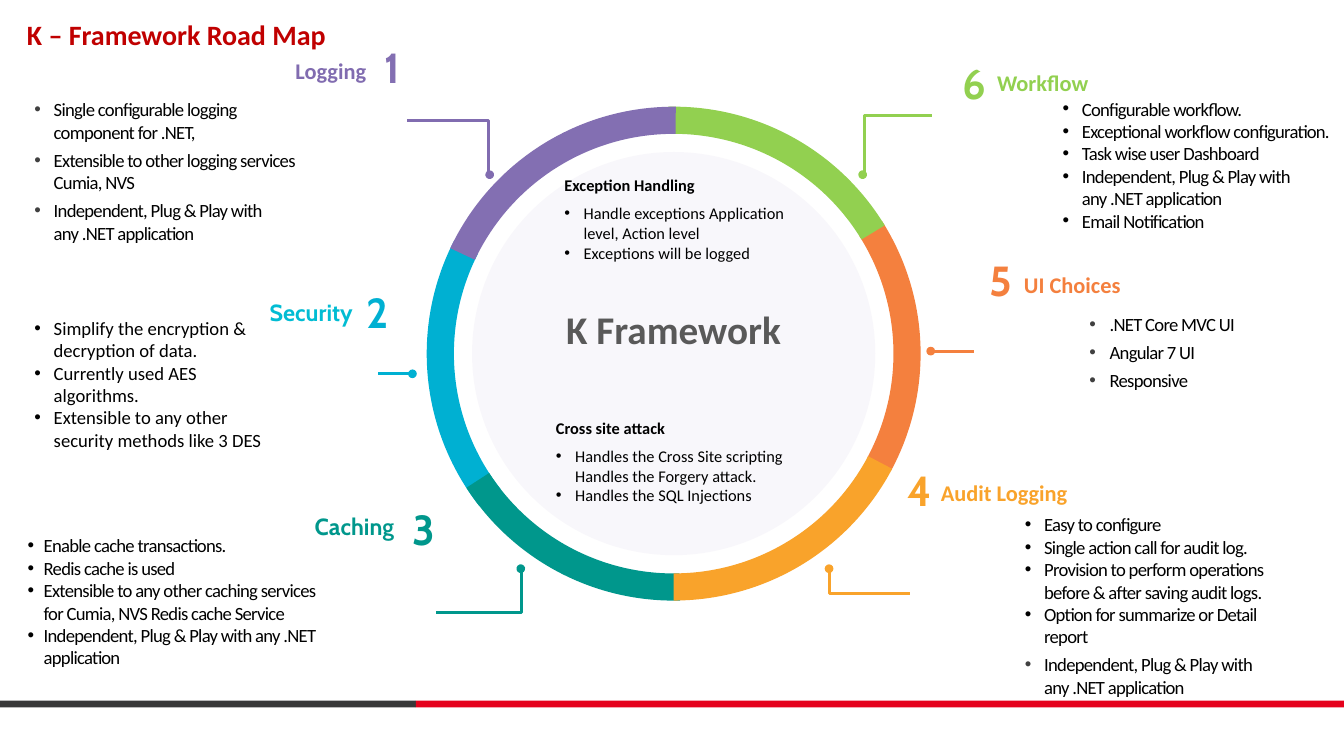
from lxml import etree
from pptx import Presentation
from pptx.dml.color import RGBColor
from pptx.enum import shapes, text
from pptx.oxml.ns import qn
from pptx.util import Inches, Pt

RED, DARK, SCARLET = RGBColor(0xC0, 0, 0), RGBColor(0x38, 0x38, 0x39), RGBColor(0xE5, 0x01, 0x1C)
PURPLE, LILAC = RGBColor(0x83, 0x6F, 0xB2), RGBColor(0x81, 0x6C, 0xB0)
CYAN, AQUA = RGBColor(0, 0xB0, 0xD2), RGBColor(0x01, 0xBC, 0xD3)
TEAL, AMBER = RGBColor(0, 0x97, 0x8C), RGBColor(0xF9, 0xA3, 0x2B)
ORANGE, GREEN = RGBColor(0xF4, 0x80, 0x3E), RGBColor(0x92, 0xD0, 0x50)
BLACK, GREY, MID = RGBColor(0, 0, 0), RGBColor(0x40, 0x40, 0x40), RGBColor(0x59, 0x59, 0x59)
LEFT, CENTER, RIGHT = text.PP_ALIGN.LEFT, text.PP_ALIGN.CENTER, text.PP_ALIGN.RIGHT

INDEPENDENT = "Independent, Plug & Play with any .NET application"
# Rotation, start angle and colour of each arc, back to front
ARCS = [(210, 291.88, CYAN), (150, 298.51, TEAL), (31.1, 296.37, ORANGE),
        (331.6, 297.1, GREEN), (92.9, 294.91, AMBER), (273.4, 291.88, PURPLE)]
ARC_END = 357.11
# Number, its place and colour; heading, its box, alignment, font, size and colour
HEADINGS = [
    ("1", (4.47, 0.45), PURPLE, "Logging", (1.96, 0.72, 2.4, 0.29), RIGHT, "Calibri", 19.2, LILAC),
    ("2", (4.27, 3.36), CYAN, "Security", (1.86, 3.59, 2.34, 0.3), RIGHT, "Cabin", 20, AQUA),
    ("3", (4.81, 5.95), TEAL, "Caching", (3.53, 6.14, 1.38, 0.3), CENTER, "Cabin", 20, TEAL),
    ("4", (10.7, 5.48), AMBER, "Audit Logging", (11.2, 5.74, 1.78, 0.29), LEFT, "Calibri", 19.2, AMBER),
    ("5", (11.68, 2.98), ORANGE, "UI Choices", (12.19, 3.26, 2.34, 0.29), LEFT, "Calibri", 19.2, ORANGE),
    ("6", (11.36, 0.64), GREEN, "Workflow", (11.87, 0.86, 1.9, 0.29), LEFT, "Calibri", 19.2, GREEN),
]
# Box, left margin, hanging indent, letter spacing, indexes of spaced items, items
LISTS = [
    ((0.41, 1.17, 3.13, 1.76), 0.23, 0.23, -60, {0, 1, 2},
     ["Single configurable logging component for .NET,",
      "Extensible to other logging services Cumia, NVS", INDEPENDENT]),
    ((0.41, 3.77, 2.98, 1.35), 0.23, 0.23, 0, set(),
     ["Simplify the encryption & decryption of data.", "Currently used AES algorithms.",
      "Extensible to any other security methods like 3 DES"]),
    ((0.33, 6.36, 3.43, 1.88), 0.19, 0.19, -60, set(),
     ["Enable cache transactions.", "Redis cache is used",
      "Extensible to any other caching services for Cumia, NVS Redis cache Service", INDEPENDENT]),
    ((12.2, 6.11, 3.11, 2.22), 0.23, 0.23, -60, {4},
     ["Easy to configure", "Single action call for audit log.",
      "Provision to perform operations before & after saving audit logs.",
      "Option for summarize or Detail report", INDEPENDENT]),
    ((12.84, 3.72, 2.66, 0.95), 0.37, 0.24, -60, {0, 1, 2},
     [".NET Core MVC UI", "Angular 7 UI", "Responsive"]),
    ((12.65, 1.16, 3.21, 1.62), 0.23, 0.23, -60, set(),
     ["Configurable workflow.", "Exceptional workflow configuration.",
      "Task wise user Dashboard", INDEPENDENT, "Email Notification"]),
]
# Dot, far end, colour and elbow position (None for a straight line)
LEADERS = [((5.83, 2.08), (4.85, 1.43), LILAC, 0.01), ((4.91, 4.45), (4.5, 4.45), CYAN, None),
           ((6.2, 6.77), (5.19, 7.29), TEAL, -0.01), ((10.27, 2.08), (11.1, 1.38), GREEN, 0.03),
           ((11.08, 4.18), (11.6, 4.18), ORANGE, None), ((9.87, 6.77), (10.83, 7.06), AMBER, 0)]


def inches(values):
    return [Inches(v) for v in values]


def add_filled(s, kind, box, color):
    sp = s.shapes.add_shape(kind, *inches(box))
    sp.shadow.inherit = False
    sp.fill.solid()
    sp.fill.fore_color.rgb = color
    sp.line.fill.background()
    return sp


def set_insets(tf, left, top, right, bottom):
    tf.margin_left, tf.margin_top, tf.margin_right, tf.margin_bottom = inches((left, top, right, bottom))


def add_text_frame(s, box, x_inset=0, y_inset=0):
    tf = s.shapes.add_textbox(*inches(box)).text_frame
    tf.word_wrap = True
    set_insets(tf, x_inset, y_inset, x_inset, y_inset)
    return tf


def write(p, words, size, color, font="Calibri", bold=False, spacing=0):
    p.text = words
    for r in p.runs:
        r.font.size, r.font.name, r.font.bold = Pt(size), font, bold
        r.font.color.rgb = color
        if spacing:
            r._r.get_or_add_rPr().set("spc", str(spacing))


def add_bullet(p, margin, hanging, color=None):
    pPr = p._p.get_or_add_pPr()
    pPr.set("marL", str(Inches(margin)))
    pPr.set("indent", str(-Inches(hanging)))
    if color is not None:
        clr = etree.SubElement(pPr, qn("a:buClr"))
        etree.SubElement(clr, qn("a:srgbClr"), val=str(color))
    etree.SubElement(pPr, qn("a:buFont"), typeface="Arial")
    etree.SubElement(pPr, qn("a:buChar"), char="•")


def add_label(s, box, words, size, color, font, align):
    p = add_text_frame(s, box).paragraphs[0]
    p.alignment, p.line_spacing = align, 0.9
    write(p, words, size, color, font, True)


def add_heading(s, number, place, number_color, words, box, align, font, size, color):
    add_label(s, box, words, size, color, font, align)
    p = add_text_frame(s, (*place, 0.4, 0.71), 0.1, 0.05).paragraphs[0]
    p.alignment = CENTER
    write(p, number, 36, number_color, "Cabin", True)


def add_list(s, box, margin, hanging, spacing, spaced, items):
    """Items listed in spaced get a grey bullet and, unless first, a gap above."""
    tf = add_text_frame(s, box)
    for i, item in enumerate(items):
        p = tf.add_paragraph() if i else tf.paragraphs[0]
        add_bullet(p, margin, hanging, GREY if i in spaced else None)
        if i and i in spaced:
            p.space_before = Pt(4.8)
        write(p, item, 16, BLACK, spacing=spacing)


def add_note(s, box, heading, items):
    tf = add_text_frame(s, box, 0.1, 0.05)
    tf.paragraphs[0].space_after = Pt(7.2)
    write(tf.paragraphs[0], heading, 14, BLACK, bold=True)
    for item in items:
        p = tf.add_paragraph()
        add_bullet(p, 0.23, 0.23)
        write(p, item, 14, BLACK)


def add_ring(s, x, y, size):
    inset = 0.54
    disc = add_filled(s, shapes.MSO_SHAPE.ROUNDED_RECTANGLE,
                      (x + inset, y + inset, size - 2 * inset, size - 2 * inset), PURPLE)
    disc.adjustments[0] = 0.5
    clr = disc.fill._xPr.find(qn("a:solidFill"))[0]
    etree.SubElement(clr, qn("a:alpha"), val="5000")
    for rotation, start, color in ARCS:
        arc = add_filled(s, shapes.MSO_SHAPE.BLOCK_ARC, (x, y, size, size), color)
        arc.rotation = rotation
        for i, value in enumerate((start * 0.6, ARC_END * 0.6, 0.055)):
            arc.adjustments[i] = value
    add_label(s, (x + 0.93, y + 2.43, 4.02, 0.51), "K Framework", 33.6, MID, "Calibri", CENTER)
    add_note(s, (x + 1.54, y + 0.77, 3.26, 1.14), "Exception Handling",
             ["Handle exceptions Application level, Action level", "Exceptions will be logged"])
    add_note(s, (x + 1.44, y + 3.66, 3.43, 1.14), "Cross site attack",
             ["Handles the Cross Site scripting Handles the Forgery attack.",
              "Handles the SQL Injections"])


def add_leader(s, dot, end, color, elbow):
    kind = shapes.MSO_CONNECTOR.STRAIGHT if elbow is None else shapes.MSO_CONNECTOR.ELBOW
    line = s.shapes.add_connector(kind, *inches(dot + end))
    line.line.color.rgb, line.line.width = color, Pt(2.5)
    etree.SubElement(line.line._get_or_add_ln(), qn("a:headEnd"), type="oval")
    spPr = line._element.spPr
    etree.SubElement(spPr, qn("a:effectLst"))
    if elbow is not None:
        guides = spPr.find(qn("a:prstGeom")).find(qn("a:avLst"))
        etree.SubElement(guides, qn("a:gd"), name="adj1", fmla=f"val {round(elbow * 100000)}")


def add_title(s, box, words):
    sp = s.shapes.title
    sp.left, sp.top, sp.width, sp.height = inches(box)
    tf = sp.text_frame
    set_insets(tf, 0.02, 0.02, 0, 0)
    tf.vertical_anchor = text.MSO_ANCHOR.MIDDLE
    p = tf.paragraphs[0]
    p.alignment, p.line_spacing = LEFT, 0.9
    write(p, words, 24, RED, bold=True)


def add_footer_bar(s, y, split, width):
    for x, w, color in ((0, split, DARK), (split, width - split, SCARLET)):
        add_filled(s, shapes.MSO_SHAPE.RECTANGLE, (x, y, w, 0.08), color)


def main():
    prs = Presentation()
    prs.slide_width, prs.slide_height = Inches(16), Inches(9)
    s = prs.slides.add_slide(prs.slide_layouts[5])
    add_footer_bar(s, 8.34, 4.95, 16)
    add_title(s, (0.3, 0.23, 12.1, 0.38), "K – Framework Road Map")
    add_ring(s, 5.08, 1.27, 5.88)
    for leader in LEADERS:
        add_leader(s, *leader)
    for heading in HEADINGS:
        add_heading(s, *heading)
    for bullets in LISTS:
        add_list(s, *bullets)
    prs.save("out.pptx")


if __name__ == "__main__":
    main()
